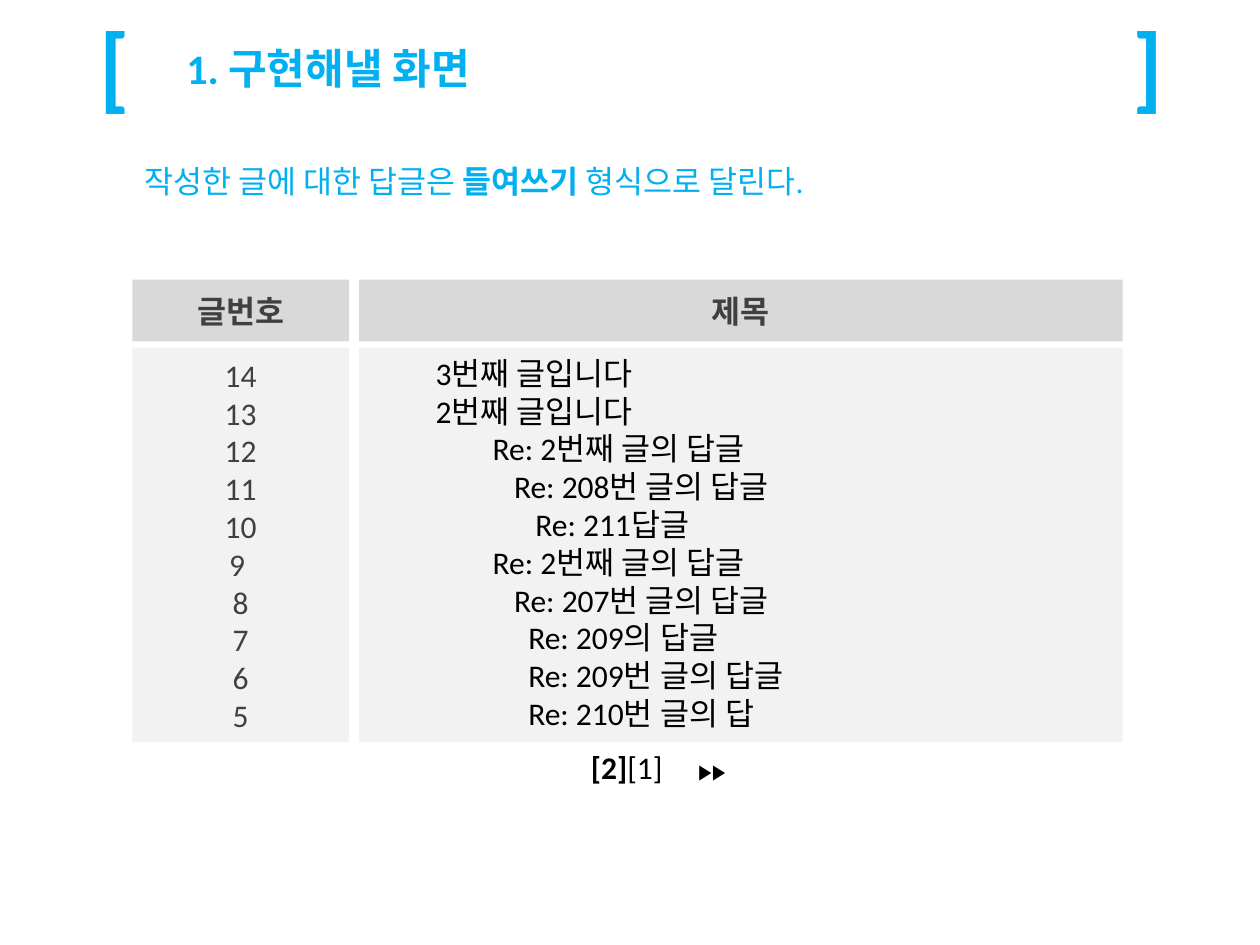
from dataclasses import dataclass

from lxml import etree
from pptx import Presentation
from pptx import util as u
from pptx.dml.color import RGBColor
from pptx.enum import shapes, text
from pptx.oxml import ns

TITLE = "1. 구현해낼 화면"
BRACKETS = "[\t]"
SUMMARY = [("작성한 글에 대한 답글은 ", {}), ("들여쓰기", {"bold": True}), (" 형식으로 달린다.", {})]
HEADERS = ["글번호", "제목"]
NUMBERS = ["14", "13", "12", "11", "10", "9 ", "8", "7", "6", "5"]
POSTS = [
    ("3번째 글입니다", 0),
    ("2번째 글입니다", 0),
    ("Re: 2번째 글의 답글", 8),
    ("Re: 208번 글의 답글", 11),
    ("Re: 211답글", 14),
    ("Re: 2번째 글의 답글", 8),
    ("Re: 207번 글의 답글", 11),
    ("Re: 209의 답글", 13),
    ("Re: 209번 글의 답글", 13),
    ("Re: 210번 글의 답", 13),
]


@dataclass(frozen=True)
class Theme:
    font: str = "Calibri"
    accent: str = "00B0F0"
    ink: str = "000000"
    muted: str = "404040"
    header: str = "D9D9D9"
    body: str = "F2F2F2"
    bracket: int = 54
    title: int = 24
    text: int = 18
    arrow: int = 12


THEME = Theme()
LEFT, TOP, GAP_X, GAP_Y = 1.05, 2.22, 0.08, 0.05
COLUMNS = [1.72, 6.06]
ROWS = [0.49, 3.13]
INDENT_STEP = 0.0565
POST_INSET = 0.51
PAGER = [("[2]", {"bold": True}), ("[1]\t", {}), ("▶▶", {"size": THEME.arrow})]


def write(shape, paragraphs, size=THEME.text, color=THEME.ink, bold=False, align=None,
          anchor=text.MSO_ANCHOR.TOP, indents=None, tab=None, spacing=None):
    frame = shape.text_frame
    frame.word_wrap = True
    frame.vertical_anchor = anchor
    for index, runs in enumerate(paragraphs):
        paragraph = frame.add_paragraph() if index else frame.paragraphs[0]
        paragraph.alignment = align
        paragraph.line_spacing = spacing
        properties = paragraph._p.get_or_add_pPr()
        if indents and indents[index]:
            properties.set("marL", str(u.Inches(indents[index])))
        if tab:
            stops = etree.SubElement(properties, ns.qn("a:tabLst"))
            etree.SubElement(stops, ns.qn("a:tab"), pos=str(u.Inches(tab[0])), algn=tab[1])
        for words, changes in [(runs, {})] if isinstance(runs, str) else runs:
            run = paragraph.add_run()
            run.text = words
            run.font.name = THEME.font
            run.font.size = u.Pt(changes.get("size", size))
            run.font.bold = changes.get("bold", bold)
            run.font.color.rgb = RGBColor.from_string(color)


def add_text(parent, box, paragraphs, **style):
    shape = parent.shapes.add_textbox(*map(u.Inches, box))
    write(shape, paragraphs, **style)
    return shape


def add_cell(parent, box, fill, paragraphs, **style):
    shape = parent.shapes.add_shape(shapes.MSO_SHAPE.RECTANGLE, *map(u.Inches, box))
    shape.shadow.inherit = False
    shape.fill.solid()
    shape.fill.fore_color.rgb = RGBColor.from_string(fill)
    shape.line.fill.background()
    write(shape, paragraphs, color=THEME.muted, align=text.PP_ALIGN.CENTER,
          anchor=text.MSO_ANCHOR.MIDDLE, **style)


def add_board(slide):
    board = slide.shapes.add_group_shape()
    lefts = [LEFT, LEFT + COLUMNS[0] + GAP_X]
    tops = [TOP, TOP + ROWS[0] + GAP_Y]
    right = lefts[1] + COLUMNS[1]
    rows = [(THEME.header, [[header] for header in HEADERS], True),
            (THEME.body, [NUMBERS, []], False)]
    for top, height, (fill, cells, bold) in zip(tops, ROWS, rows):
        for left, width, paragraphs in zip(lefts, COLUMNS, cells):
            add_cell(board, (left, top, width, height), fill, paragraphs, bold=bold)
    post_left = lefts[1] + POST_INSET
    add_text(board, (post_left, tops[1], right - post_left, ROWS[1]),
             [title for title, _ in POSTS],
             indents=[depth * INDENT_STEP for _, depth in POSTS])
    pager = add_text(board, (LEFT, tops[1] + ROWS[1], right - LEFT, 0.4), [PAGER],
                     tab=(0.85, "l"))
    pager.text_frame.margin_left = u.Inches(3.64)


def main():
    presentation = Presentation()
    presentation.slide_width, presentation.slide_height = u.Inches(10), u.Inches(7.5)
    slide = presentation.slides.add_slide(presentation.slide_layouts[6])
    add_text(slide, (0.69, 0, 8.74, 1.01), [BRACKETS], size=THEME.bracket,
             color=THEME.accent, bold=True, tab=(8.44, "r"))
    add_text(slide, (1.38, 0.18, 7.52, 0.77), [TITLE], size=THEME.title,
             color=THEME.accent, bold=True, anchor=text.MSO_ANCHOR.MIDDLE, spacing=0.9)
    add_board(slide)
    add_text(slide, (LEFT, 1.24, 7.96, 0.4), [SUMMARY], color=THEME.accent)
    presentation.save("out.pptx")


if __name__ == "__main__":
    main()
